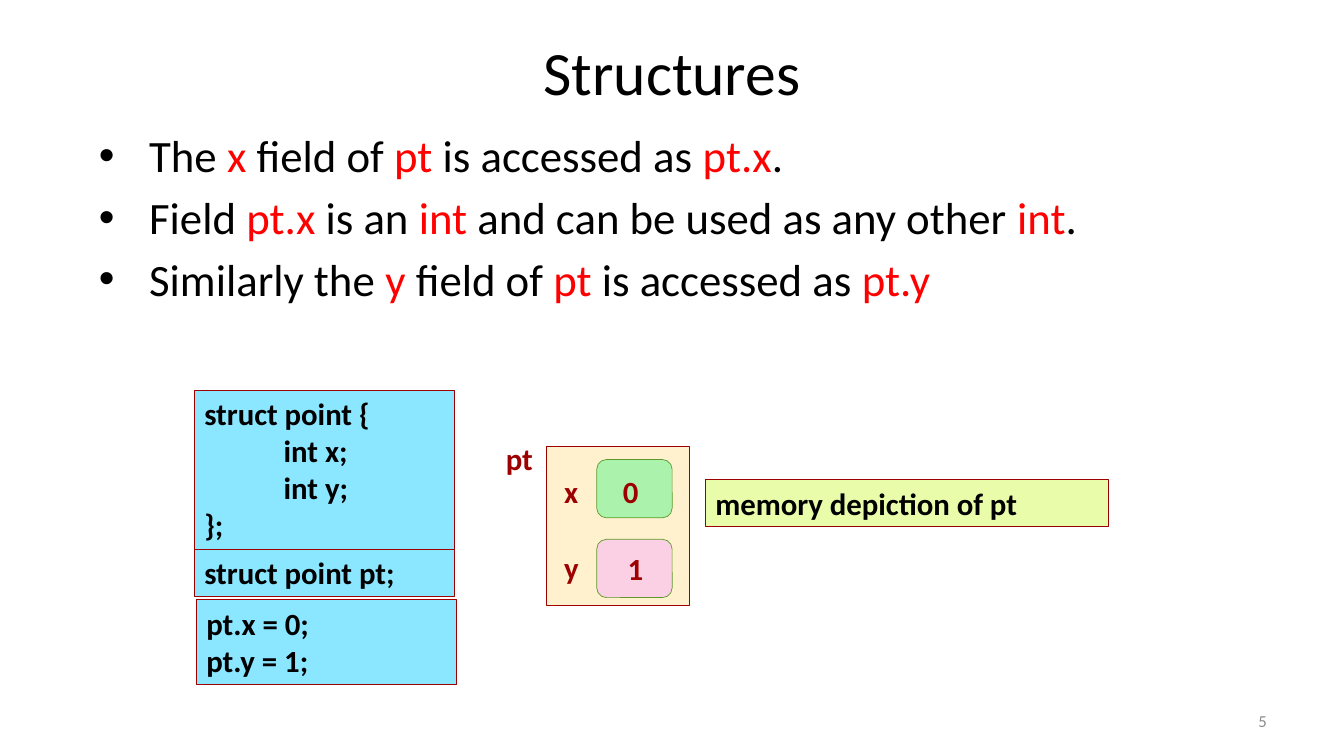
from lxml import etree
from pptx import Presentation
from pptx import util as u
from pptx.dml.color import RGBColor
from pptx.enum import shapes, text
from pptx.oxml import ns

HUES = {
    "ink": "000000", "red": "FF0000", "dark": "9D0000", "gray": "8C8C8C",
    "blue": "8BE6FF", "lime": "E8FCAA", "cream": "FFF1CE",
    "mint": "ABF3AD", "pink": "FBD0E4", "leaf": "5D9A2B",
}
FACTS = [
    "The |x| field of |pt |is accessed as |pt.x|.",
    "Field |pt.x| is an |int| and can be used as any other |int|.",
    "Similarly the |y| field of |pt |is accessed as |pt.y",
]
CODE = [
    (0, 0, 4.01, "struct point {\n\tint x;\n\tint y;\n};"),
    (0, 4.01, 1.19, "struct point pt;"),
    (0.05, 5.28, 2.13, "pt.x = 0;\npt.y = 1;"),
]
FIELDS = [
    ("x", "0", "mint", 0.33, 0.53, 1.68, 0.53),
    ("y", "1", "pink", 2.34, 2.44, 1.8, 2.49),
]


def hue(name):
    """Return the named colour."""
    return RGBColor.from_string(HUES[name])


def style(run, size, color="ink", bold=False):
    """Format one run."""
    run.font.name = "Calibri"
    run.font.size = u.Pt(size)
    run.font.bold = bold
    run.font.color.rgb = hue(color)


def write(shape, words, size, color="ink", bold=False, align=text.PP_ALIGN.LEFT,
          anchor=text.MSO_ANCHOR.TOP, wrap=True):
    """Fill a shape with evenly formatted text."""
    frame = shape.text_frame
    frame.text = words
    frame.word_wrap = wrap
    frame.vertical_anchor = anchor
    for para in frame.paragraphs:
        para.alignment = align
        for run in para.runs:
            style(run, size, color, bold)


def label(parts, box, words, size, **looks):
    """Add a text box."""
    shape = parts.add_textbox(*map(u.Cm, box))
    write(shape, words, size, **looks)


def panel(parts, box, fill, line="dark", width=0.75, kind="RECTANGLE"):
    """Add a filled and outlined shape."""
    shape = parts.add_shape(getattr(shapes.MSO_SHAPE, kind), *map(u.Cm, box))
    shape.shadow.inherit = False
    shape.fill.solid()
    shape.fill.fore_color.rgb = hue(fill)
    shape.line.color.rgb = hue(line)
    shape.line.width = u.Pt(width)
    return shape


def bullets(parts, box):
    """Add the bulleted facts, with every second piece in red."""
    frame = parts.add_textbox(*map(u.Cm, box)).text_frame
    frame.word_wrap = True
    for row, fact in enumerate(FACTS):
        para = frame.add_paragraph() if row else frame.paragraphs[0]
        para.space_before = u.Pt(5.6 if row else 0)
        props = para._p.get_or_add_pPr()
        props.set("marL", str(u.Cm(1.27)))
        props.set("indent", str(-u.Cm(1.27)))
        etree.SubElement(props, ns.qn("a:buFont")).set("typeface", "Arial")
        etree.SubElement(props, ns.qn("a:buChar")).set("char", "•")
        for spot, piece in enumerate(fact.split("|")):
            run = para.add_run()
            run.text = piece
            style(run, 32, "red" if spot % 2 else "ink")


def code(parts, left, top, width):
    """Stack the code panels down from the given corner."""
    for dx, dy, height, words in CODE:
        shape = panel(parts, (left + dx, top + dy, width, height), "blue")
        write(shape, words, 22, bold=True)
        for para in shape.text_frame.paragraphs:
            tabs = etree.SubElement(para._p.get_or_add_pPr(), ns.qn("a:tabLst"))
            stop = etree.SubElement(tabs, ns.qn("a:tab"))
            stop.set("pos", str(u.Cm(2)))
            stop.set("algn", "l")


def memory(parts, box):
    """Draw the structure with its two fields as a group."""
    left, top = box[:2]
    group = parts.add_group_shape().shapes
    looks = dict(color="dark", bold=True, wrap=False)
    panel(group, box, "cream")
    label(group, (left - 1.27, top - 0.3, 1.19, 1.19), "pt", 22, **looks)
    for name, value, fill, drop, name_y, value_x, value_y in FIELDS:
        panel(group, (left + 1.27, top + drop, 1.9, 1.47), fill, "leaf", 0.5,
              "ROUNDED_RECTANGLE")
        label(group, (left + 0.2, top + name_y, 0.86, 1.19), name, 22, **looks)
        label(group, (left + value_x, top + value_y, 0.89, 1.19), value, 22, **looks)


def main():
    """Build and save the slide."""
    deck = Presentation()
    deck.slide_width, deck.slide_height = u.Cm(33.87), u.Cm(19.05)
    parts = deck.slides.add_slide(deck.slide_layouts[6]).shapes
    mid = text.MSO_ANCHOR.MIDDLE
    label(parts, (5.51, 0.2, 22.86, 3.18), "Structures", 44,
          align=text.PP_ALIGN.CENTER, anchor=mid)
    bullets(parts, (2.24, 3.1, 26.44, 14.4))
    label(parts, (24.28, 17.65, 7.9, 1.02), "5", 12, color="gray",
          align=text.PP_ALIGN.RIGHT, anchor=mid)
    code(parts, 4.9, 9.83, 6.55)
    note = panel(parts, (17.78, 12.09, 10.16, 1.19), "lime")
    write(note, "memory depiction of pt", 22, bold=True)
    memory(parts, (13.77, 11.25, 3.61, 4.01))
    deck.save("out.pptx")


if __name__ == "__main__":
    main()
